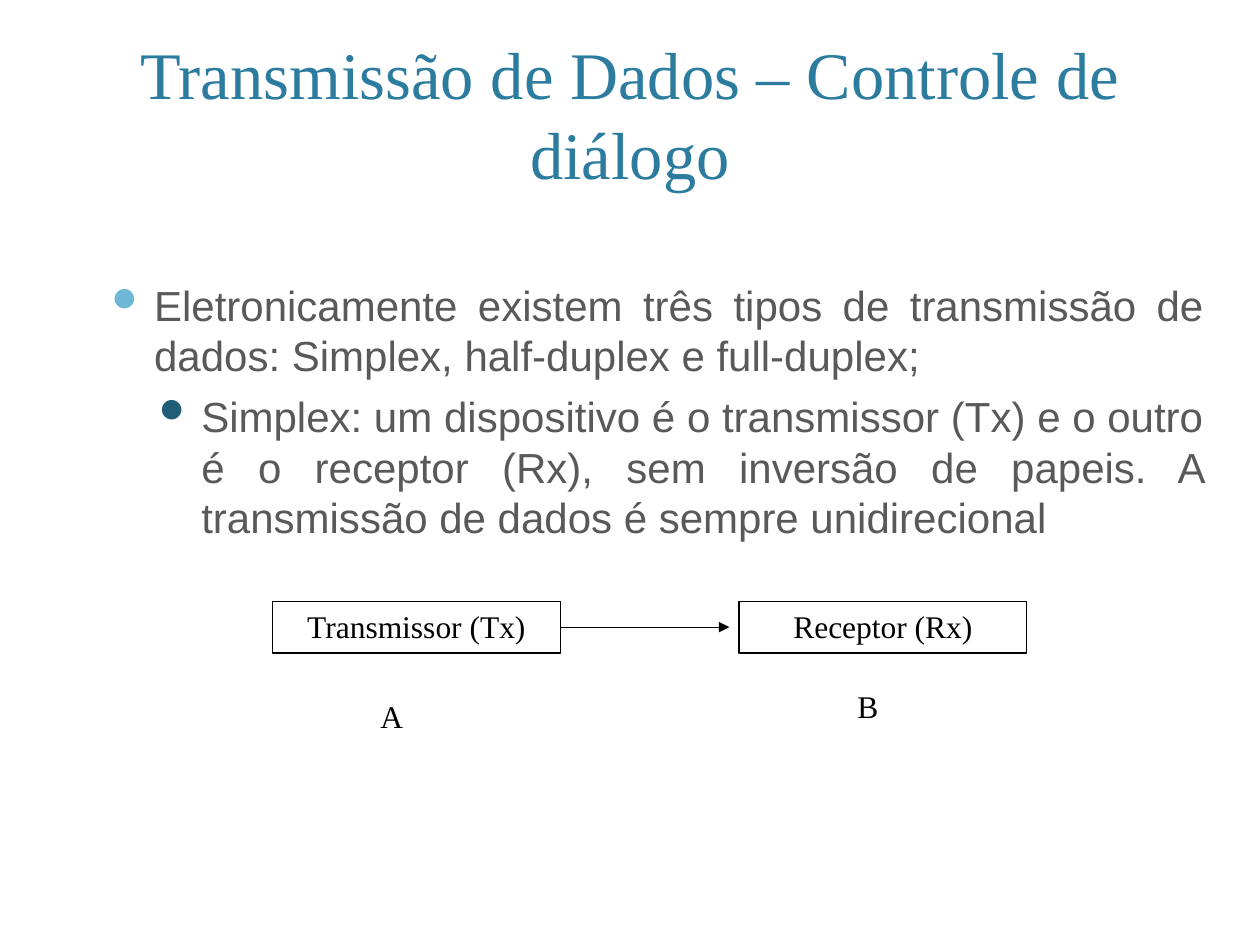
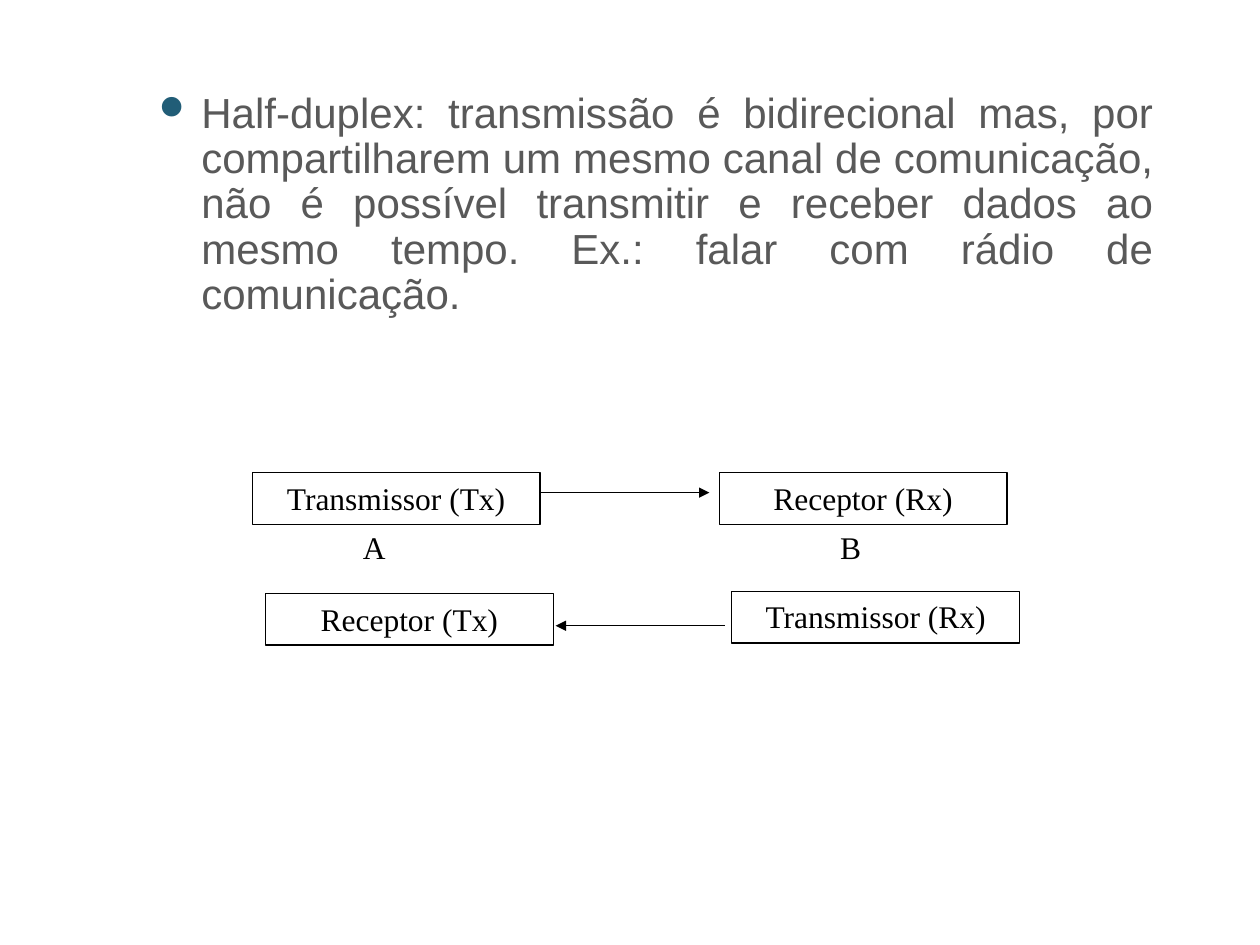
"""Builds two slides on dialogue control in data transmission."""
from dataclasses import dataclass

from lxml.etree import SubElement
from pptx import Presentation
from pptx.dml.color import RGBColor
from pptx.enum.shapes import MSO_CONNECTOR as Connector, MSO_SHAPE as Preset
from pptx.enum.text import MSO_ANCHOR as Anchor, PP_ALIGN as Align
from pptx.oxml.ns import qn
from pptx.shapes.autoshape import Shape
from pptx.slide import Slide
from pptx.text.text import TextFrame
from pptx.util import Pt

COLORS = {
    "title": "2C7C9F",
    "body": "595959",
    "bullet1": "6FB7D7",
    "bullet2": "215D77",
    "ink": "000000",
}
SERIF, SANS = "Times New Roman", "Arial"
TITLE_ONLY, BLANK = 5, 6
STATION_WIDTH, STATION_HEIGHT = 164.4, 29.6
LETTER_WIDTH, LETTER_HEIGHT = 67.6, 29
BULLET_INDENT = 27


@dataclass(frozen=True)
class Station:
    """A labelled device box."""
    text: str
    left: float
    top: float


@dataclass(frozen=True)
class Letter:
    """A letter naming one side of the dialogue."""
    text: str
    left: float
    top: float


@dataclass(frozen=True)
class Arrow:
    """A horizontal arrow showing the direction of the data."""
    start: float
    end: float
    y: float


@dataclass(frozen=True)
class Bullet:
    """A bulleted paragraph at level 1 or 2."""
    text: str
    level: int
    space_before: float = 0
    line_spacing: float = 1.0


def rgb(name: str) -> RGBColor:
    """Return the named palette colour."""
    return RGBColor.from_string(COLORS[name])


def style_text(frame: TextFrame, font: str, size: float, color: str, align: Align) -> None:
    """Format every run and paragraph of a text frame."""
    frame.word_wrap = True
    for paragraph in frame.paragraphs:
        paragraph.alignment = align
        for run in paragraph.runs:
            run.font.name = font
            run.font.size = Pt(size)
            run.font.color.rgb = rgb(color)


def add_title(slide: Slide, text: str) -> None:
    """Place and format the slide title."""
    title = slide.shapes.title
    title.left, title.top, title.width, title.height = Pt(43.2), Pt(8.6), Pt(633.6), Pt(105.1)
    title.text_frame.text = text
    title.text_frame.vertical_anchor = Anchor.BOTTOM
    style_text(title.text_frame, SERIF, 38, "title", Align.CENTER)


def add_bullets(slide: Slide, top: float, width: float, height: float, bullets: list[Bullet]) -> None:
    """Add the justified bulleted text."""
    frame = slide.shapes.add_textbox(Pt(54), Pt(top), Pt(width), Pt(height)).text_frame
    for index, bullet in enumerate(bullets):
        paragraph = frame.add_paragraph() if index else frame.paragraphs[0]
        paragraph.text = bullet.text
        paragraph.level = bullet.level - 1
        paragraph.space_before = Pt(bullet.space_before)
        paragraph.line_spacing = bullet.line_spacing
        properties = paragraph._p.get_or_add_pPr()
        properties.set("marL", str(Pt(BULLET_INDENT * bullet.level)))
        properties.set("indent", str(Pt(-BULLET_INDENT)))
        bullet_color = SubElement(properties, qn("a:buClr"))
        SubElement(bullet_color, qn("a:srgbClr"), val=COLORS[f"bullet{bullet.level}"])
        SubElement(properties, qn("a:buChar"), char="⚫")
    style_text(frame, SANS, 24, "body", Align.JUSTIFY)


def add_station(slide: Slide, station: Station) -> Shape:
    """Draw a device box."""
    box = slide.shapes.add_shape(Preset.RECTANGLE, Pt(station.left), Pt(station.top),
                                 Pt(STATION_WIDTH), Pt(STATION_HEIGHT))
    box.shadow.inherit = False
    box.fill.background()
    box.line.color.rgb = rgb("ink")
    box.line.width = Pt(0.75)
    box.text_frame.text = station.text
    box.text_frame.vertical_anchor = Anchor.TOP
    style_text(box.text_frame, SERIF, 18, "ink", Align.CENTER)
    return box


def add_letter(slide: Slide, letter: Letter) -> None:
    """Write the letter of one side."""
    frame = slide.shapes.add_textbox(Pt(letter.left), Pt(letter.top),
                                     Pt(LETTER_WIDTH), Pt(LETTER_HEIGHT)).text_frame
    frame.text = letter.text
    style_text(frame, SERIF, 18, "ink", Align.CENTER)


def add_arrow(slide: Slide, arrow: Arrow, sender: Shape | None = None) -> None:
    """Draw an arrow, joined to the right side of the sender if one is given."""
    connector = slide.shapes.add_connector(Connector.STRAIGHT, Pt(arrow.start), Pt(arrow.y),
                                           Pt(arrow.end), Pt(arrow.y))
    if sender is not None:
        connector.begin_connect(sender, 3)
    connector.line.color.rgb = rgb("ink")
    connector.line.width = Pt(0.75)
    SubElement(connector.line._get_or_add_ln(), qn("a:tailEnd"), type="triangle")
    SubElement(connector._element.spPr, qn("a:effectLst"))


def build_simplex(deck: Presentation) -> None:
    """Build the slide on the simplex mode."""
    slide = deck.slides.add_slide(deck.slide_layouts[TITLE_ONLY])
    add_title(slide, "Transmissão de Dados – Controle de diálogo")
    add_bullets(slide, 156.2, 640.8, 244, [
        Bullet("Eletronicamente existem três tipos de transmissão de dados: "
               "Simplex, half-duplex e full-duplex;", 1),
        Bullet("Simplex: um dispositivo é o transmissor (Tx) e o outro é o receptor (Rx), "
               "sem inversão de papeis. A transmissão de dados é sempre unidirecional", 2, 6),
    ])
    top = 343.6
    transmitter = add_station(slide, Station("Transmissor (Tx)", 155.8, top))
    add_station(slide, Station("Receptor (Rx)", 422.4, top))
    add_arrow(slide, Arrow(320.2, 416.8, top + STATION_HEIGHT / 2), transmitter)
    for letter in (Letter("A", 190, 394.6), Letter("B", 462.2, 388.8)):
        add_letter(slide, letter)


def build_half_duplex(deck: Presentation) -> None:
    """Build the slide on the half-duplex mode."""
    slide = deck.slides.add_slide(deck.slide_layouts[BLANK])
    add_bullets(slide, 49, 612, 198.7, [
        Bullet("Half-duplex: transmissão é bidirecional mas, por compartilharem um mesmo canal "
               "de comunicação, não é possível transmitir e receber dados ao mesmo tempo. "
               "Ex.: falar com rádio de comunicação.", 2, line_spacing=0.9),
    ])
    for station in (
        Station("Transmissor (Tx)", 144.2, 270),
        Station("Receptor (Rx)", 411, 270),
        Station("Receptor (Tx)", 151.8, 339.1),
        Station("Transmissor (Rx)", 418.2, 337.9),
    ):
        add_station(slide, station)
    for letter in (Letter("A", 180, 298.1), Letter("B", 452.2, 298.1)):
        add_letter(slide, letter)
    for arrow in (Arrow(308.9, 405.4, 281.5), Arrow(414, 317.5, 357.6)):
        add_arrow(slide, arrow)


def main() -> None:
    """Build and save the deck."""
    deck = Presentation()
    deck.slide_width, deck.slide_height = Pt(720), Pt(540)
    build_simplex(deck)
    build_half_duplex(deck)
    deck.save("out.pptx")


if __name__ == "__main__":
    main()
